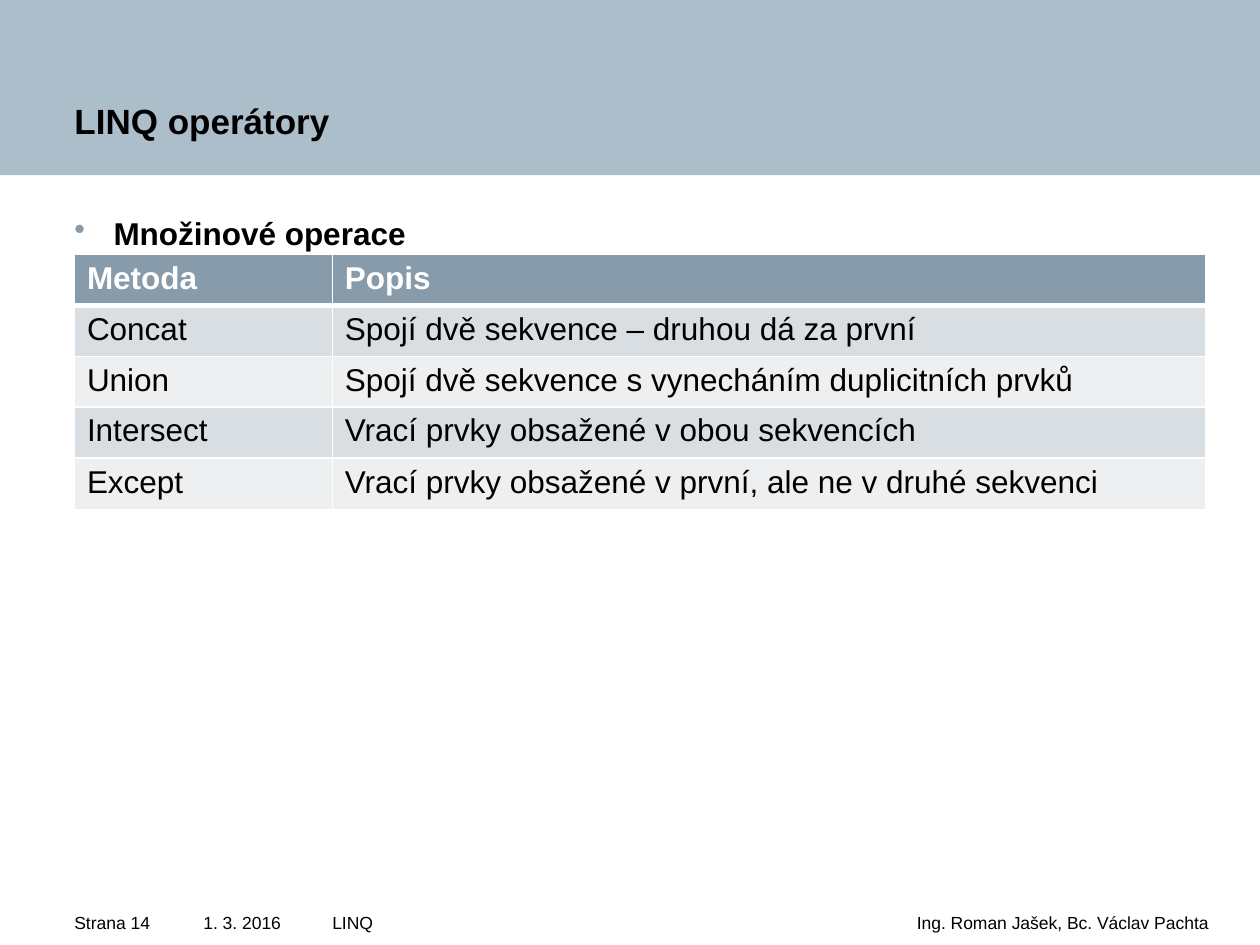
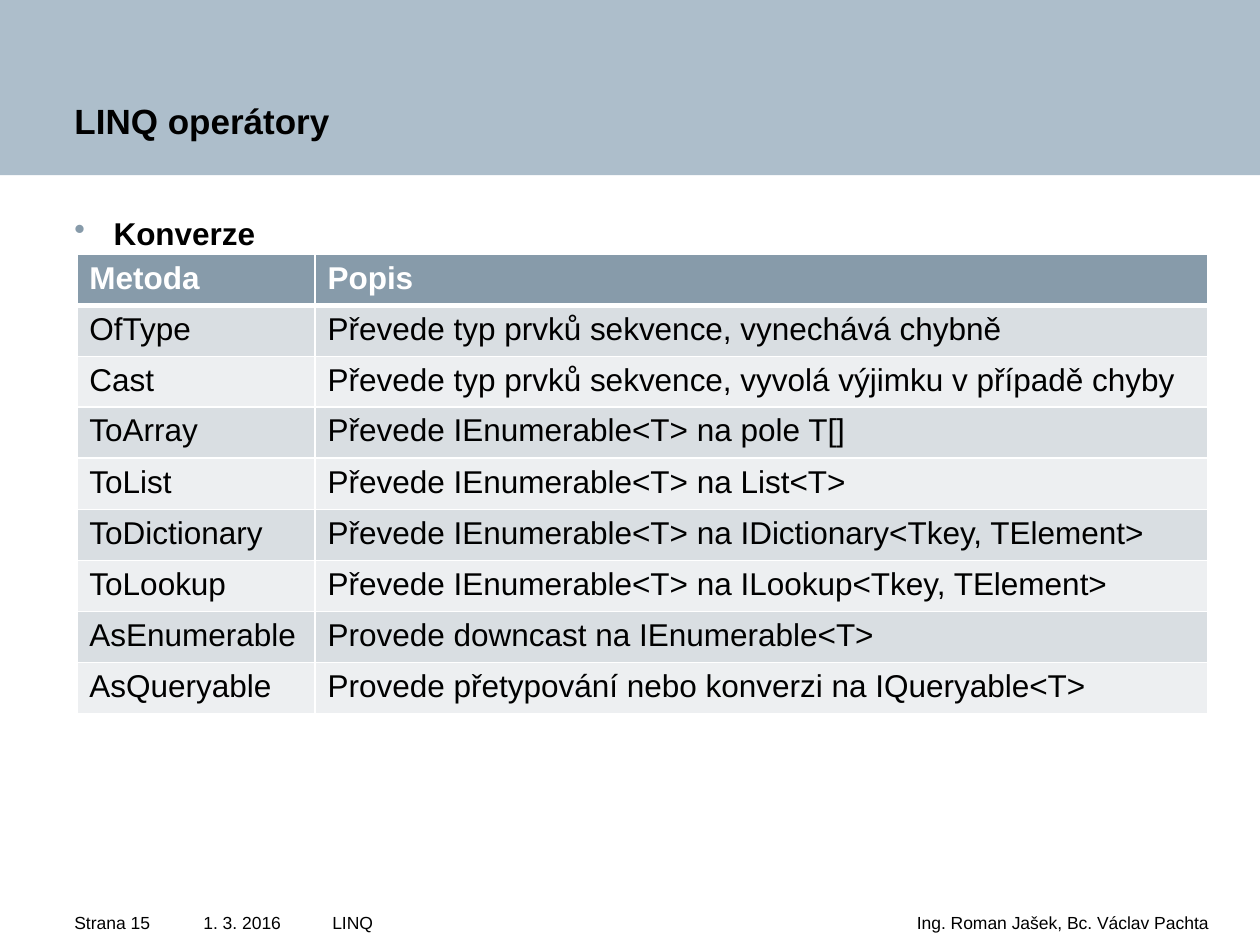
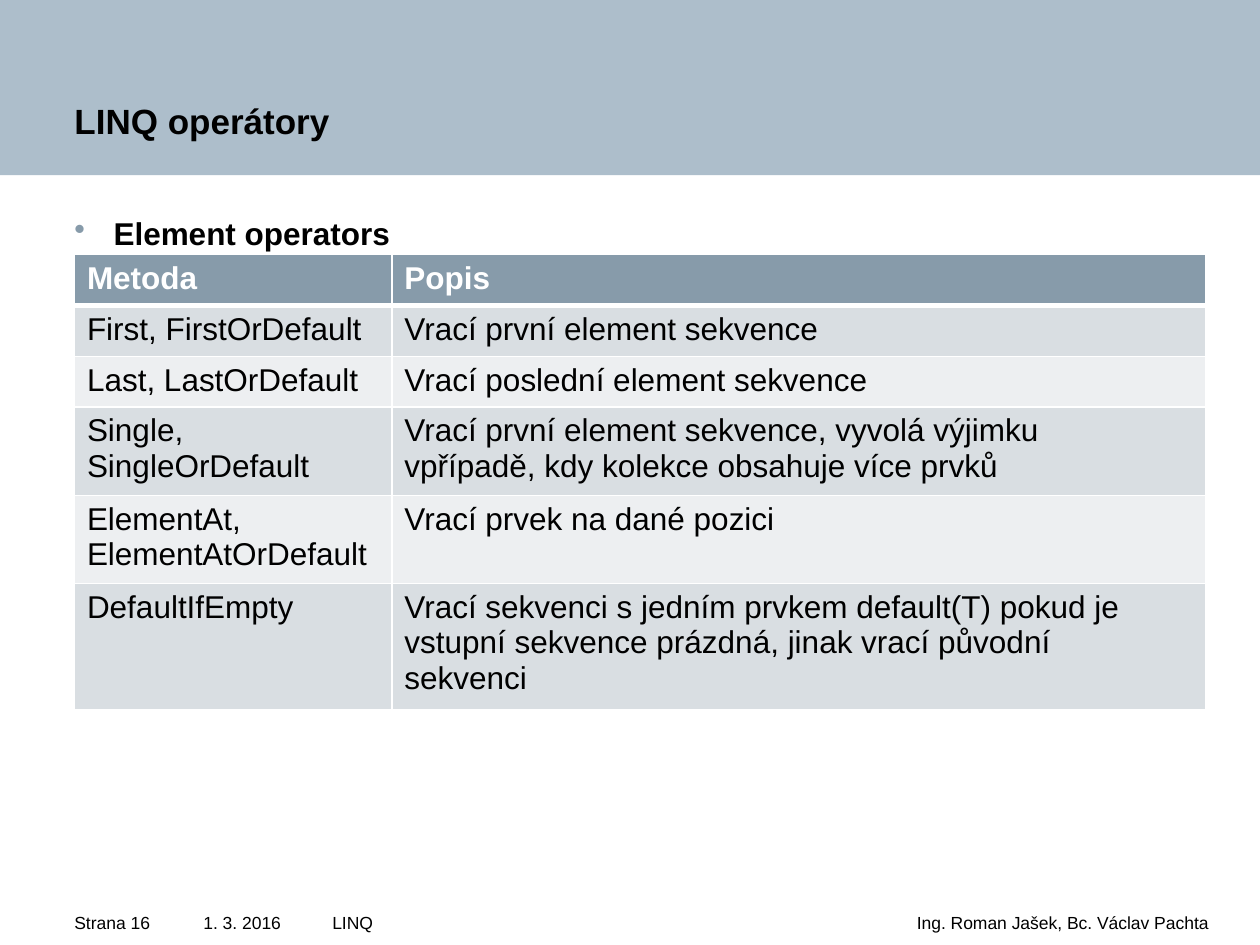
import dataclasses

import lxml.etree
import pptx
import pptx.dml.color
import pptx.enum.shapes
import pptx.enum.text
import pptx.oxml.ns
import pptx.util

Cm = pptx.util.Cm
Pt = pptx.util.Pt
PP_ALIGN = pptx.enum.text.PP_ALIGN
ANCHOR = pptx.enum.text.MSO_ANCHOR
qn = pptx.oxml.ns.qn


@dataclasses.dataclass(frozen=True)
class Theme:
    font: str = "Arial"
    text: str = "000000"
    white: str = "FFFFFF"
    band: str = "ADBECB"
    accent: str = "879BAA"
    rows: tuple = ("D9DEE2", "EDEFF1")
    title_size: int = 20
    body_size: int = 18
    footer_size: int = 10


PAGE_WIDTH, PAGE_HEIGHT = 25.4, 19.05
MARGIN = 1.5
CONTENT_WIDTH = 22.8
TABLE_TOP = 5.13
ROW_HEIGHT, TIGHT_ROW_HEIGHT = 1.03, 0.74
TIGHT_ROW = 2
FOOTER_TOP, FOOTER_HEIGHT = 18.34, 0.71
FIRST_PAGE = 14
TITLE = "LINQ operátory"
HEADINGS = ("Metoda", "Popis")

# text, left, width, left inset, right inset, alignment
FOOTERS = [
    ("1. 3. 2016", 0, 7.09, 4.1, 0, PP_ALIGN.LEFT),
    ("Strana {page}", 0, 3.48, MARGIN, 0, PP_ALIGN.LEFT),
    ("Ing. Roman Jašek, Bc. Václav Pachta", 7.5, 17.9, 0, 1.04, PP_ALIGN.RIGHT),
    ("LINQ", 6.7, 9.1, 0, 1.04, PP_ALIGN.LEFT),
]

# topic, table left, width of the method column, rows
TOPICS = [
    ("Množinové operace", MARGIN, 5.2, [
        ("Concat", "Spojí dvě sekvence – druhou dá za první"),
        ("Union", "Spojí dvě sekvence s vynecháním duplicitních prvků"),
        ("Intersect", "Vrací prvky obsažené v obou sekvencích"),
        ("Except", "Vrací prvky obsažené v první, ale ne v druhé sekvenci"),
    ]),
    ("Konverze", 1.55, 4.8, [
        ("OfType", "Převede typ prvků sekvence, vynechává chybně"),
        ("Cast", "Převede typ prvků sekvence, vyvolá výjimku v případě chyby"),
        ("ToArray", "Převede IEnumerable<T> na pole T[]"),
        ("ToList", "Převede IEnumerable<T> na List<T>"),
        ("ToDictionary", "Převede IEnumerable<T> na IDictionary<Tkey, TElement>"),
        ("ToLookup", "Převede IEnumerable<T> na ILookup<Tkey, TElement>"),
        ("AsEnumerable", "Provede downcast na IEnumerable<T>"),
        ("AsQueryable", "Provede přetypování nebo konverzi na IQueryable<T>"),
    ]),
    ("Element operators", MARGIN, 6.4, [
        ("First, FirstOrDefault", "Vrací první element sekvence"),
        ("Last, LastOrDefault", "Vrací poslední element sekvence"),
        ("Single, SingleOrDefault",
         "Vrací první element sekvence, vyvolá výjimku \v"
         "vpřípadě, kdy kolekce obsahuje více prvků"),
        ("ElementAt,\nElementAtOrDefault", "Vrací prvek na dané pozici"),
        ("DefaultIfEmpty",
         "Vrací sekvenci s jedním prvkem default(T) pokud je\n"
         "vstupní sekvence prázdná, jinak vrací původní\nsekvenci"),
    ]),
]


def rgb(value):
    return pptx.dml.color.RGBColor.from_string(value)


def write(frame, text, *, font, size, color, bold=False, align=PP_ALIGN.LEFT,
          spacing=None, insets=None, anchor=None):
    """Fill a text frame; insets are left, top, right, bottom in cm."""
    frame.text = text
    frame.word_wrap = True
    if anchor is not None:
        frame.vertical_anchor = anchor
    if insets:
        (frame.margin_left, frame.margin_top,
         frame.margin_right, frame.margin_bottom) = map(Cm, insets)
    for paragraph in frame.paragraphs:
        paragraph.alignment = align
        if spacing:
            paragraph.line_spacing = spacing
        for run in paragraph.runs:
            run.font.name = font
            run.font.size = Pt(size)
            run.font.bold = bold
            run.font.color.rgb = rgb(color)


def add_color(parent, tag, color):
    holder = lxml.etree.SubElement(parent, qn(tag))
    lxml.etree.SubElement(holder, qn("a:srgbClr"), val=color)


def add_bullet(paragraph, char, color, indent):
    properties = paragraph._p.get_or_add_pPr()
    properties.set("marL", str(Cm(indent)))
    properties.set("indent", str(-Cm(indent)))
    add_color(properties, "a:buClr", color)
    lxml.etree.SubElement(properties, qn("a:buChar"), char=char)


def set_borders(cell, color, widths):
    """Draw the borders; widths in points are left, right, top, bottom."""
    properties = cell._tc.get_or_add_tcPr()
    for position, (side, width) in enumerate(zip("LRTB", widths)):
        border = lxml.etree.Element(qn(f"a:ln{side}"), w=str(Pt(width)))
        add_color(border, "a:solidFill", color)
        properties.insert(position, border)


class Deck:
    def __init__(self, theme):
        self.theme = theme
        self.presentation = pptx.Presentation()
        self.presentation.slide_width = Cm(PAGE_WIDTH)
        self.presentation.slide_height = Cm(PAGE_HEIGHT)
        self.slide = None

    def start_slide(self, title, page):
        title_only = self.presentation.slide_layouts[5]
        self.slide = self.presentation.slides.add_slide(title_only)
        self.title(title)
        self.band()
        for text, left, width, inset_left, inset_right, align in FOOTERS:
            self.text(text.format(page=page), left, FOOTER_TOP, width, FOOTER_HEIGHT,
                      size=self.theme.footer_size, spacing=1.1, align=align,
                      insets=(inset_left, 0, inset_right, 0.33))

    def title(self, text):
        heading = self.slide.shapes.title
        heading.left, heading.top = Cm(0), Cm(0)
        heading.width, heading.height = Cm(PAGE_WIDTH), Cm(3.5)
        write(heading.text_frame, text, font=self.theme.font, size=self.theme.title_size,
              color=self.theme.text, bold=True, anchor=ANCHOR.BOTTOM,
              insets=(MARGIN, 1.1, 5.9, 0.65))
        heading.text_frame.auto_size = pptx.enum.text.MSO_AUTO_SIZE.NONE

    def band(self):
        """Draw the header band behind the title."""
        band = self.slide.shapes.add_shape(
            pptx.enum.shapes.MSO_SHAPE.RECTANGLE, Cm(0), Cm(0), Cm(PAGE_WIDTH), Cm(3.53))
        band.shadow.inherit = False
        band.fill.solid()
        band.fill.fore_color.rgb = rgb(self.theme.band)
        band.line.fill.background()
        self.slide.shapes.title.element.addprevious(band.element)

    def text(self, text, left, top, width, height, **style):
        box = self.slide.shapes.add_textbox(Cm(left), Cm(top), Cm(width), Cm(height))
        write(box.text_frame, text, font=self.theme.font, color=self.theme.text, **style)
        return box.text_frame

    def topic(self, text):
        body = self.text(text, MARGIN, 3.94, CONTENT_WIDTH, 13.2, bold=True,
                         size=self.theme.body_size, spacing=1.5, insets=(0, 0, 0, 0))
        add_bullet(body.paragraphs[0], "•", self.theme.accent, 0.79)

    def method_table(self, left, method_width, methods):
        rows = [HEADINGS, *methods]
        heights = [TIGHT_ROW_HEIGHT if index == TIGHT_ROW else ROW_HEIGHT
                   for index in range(len(rows))]
        table = self.slide.shapes.add_table(
            len(rows), len(HEADINGS), Cm(left), Cm(TABLE_TOP),
            Cm(CONTENT_WIDTH), Cm(sum(heights))).table
        table.columns[0].width = Cm(method_width)
        table.columns[1].width = Cm(CONTENT_WIDTH - method_width)
        for index, (row, height) in enumerate(zip(rows, heights)):
            table.rows[index].height = Cm(height)
            for column, text in enumerate(row):
                self.cell(table.cell(index, column), text, index)

    def cell(self, cell, text, row):
        theme = self.theme
        header = row == 0
        cell.fill.solid()
        cell.fill.fore_color.rgb = rgb(theme.accent if header else theme.rows[(row - 1) % 2])
        write(cell.text_frame, text, font=theme.font, size=theme.body_size, bold=header,
              color=theme.white if header else theme.text)
        set_borders(cell, theme.white,
                    (1, 1, 3 if row == 1 else 1, 3 if header else 1))


def main():
    deck = Deck(Theme())
    for page, (topic, left, method_width, methods) in enumerate(TOPICS, FIRST_PAGE):
        deck.start_slide(TITLE, page)
        deck.topic(topic)
        deck.method_table(left, method_width, methods)
    deck.presentation.save("out.pptx")


if __name__ == "__main__":
    main()
